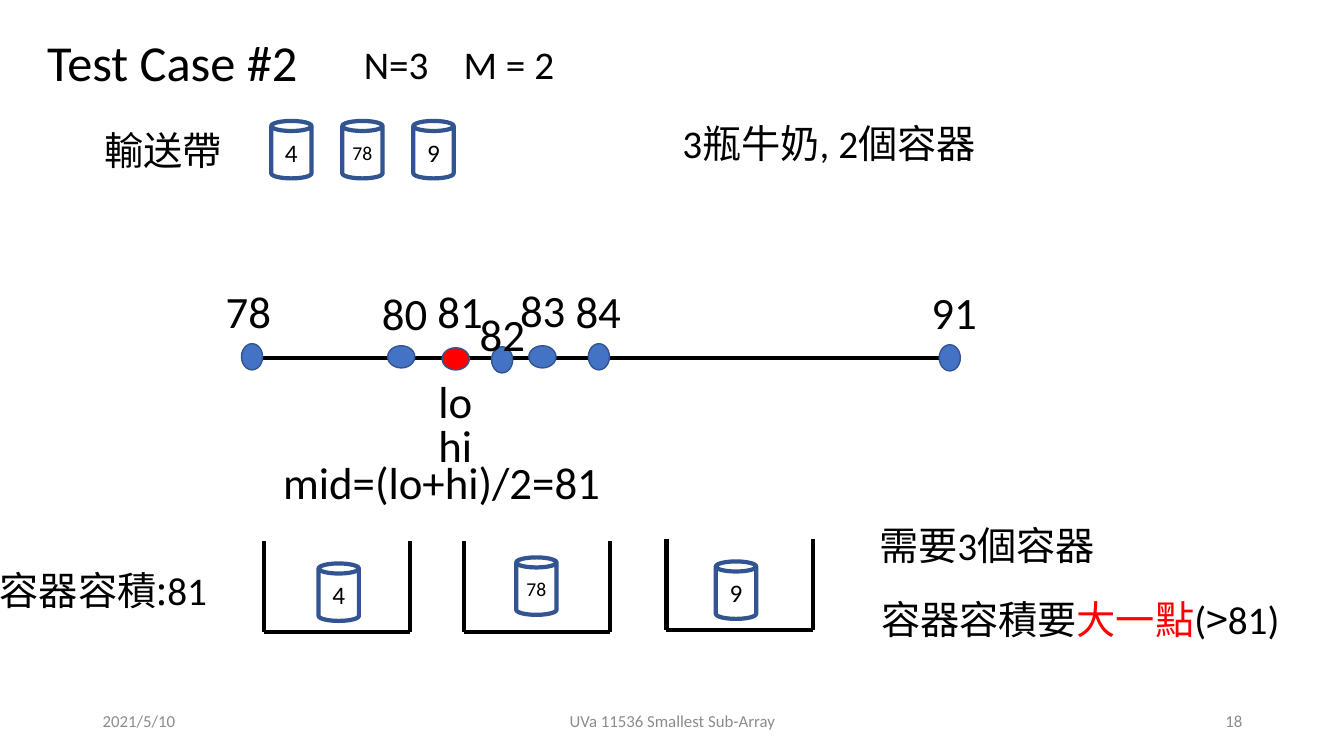
from itertools import groupby
from lxml.etree import SubElement
from pptx import Presentation
from pptx.dml.color import RGBColor
from pptx.enum.shapes import MSO_CONNECTOR, MSO_SHAPE
from pptx.enum.text import MSO_ANCHOR, PP_ALIGN
from pptx.oxml.ns import qn
from pptx.util import Inches, Pt

LATIN, HAN = "Calibri", "Noto Sans CJK SC"
BLACK, BLUE, NAVY, RED, GRAY = "000000", "4472C4", "325491", "FF0000", "8C8C8C"


def color(code):
    """Turn a hex string into a colour."""
    return RGBColor.from_string(code)


def face(char):
    """Choose the font for one character."""
    return HAN if char in ":>" or not char.isascii() else LATIN


def style(font, name, hue):
    """Set the typeface and colour of a font."""
    font.color.rgb = color(hue)
    font.name = name
    if name == HAN:
        SubElement(font._rPr, qn("a:ea"), typeface=name)


def write(para, parts, size, align=PP_ALIGN.LEFT):
    """Fill a paragraph with (text, colour) parts, split by typeface."""
    pieces = [("".join(chars), name, hue) for words, hue in parts
              for name, chars in groupby(words, face)]
    para.alignment = align
    para.font.size = Pt(size)
    for words, name, hue in pieces:
        run = para.add_run()
        run.text = words
        style((para if len(pieces) == 1 else run).font, name, hue)


def label(slide, left, top, width, height, parts, size=28,
          align=PP_ALIGN.LEFT, anchor=MSO_ANCHOR.TOP, tab=None):
    """Place a text box of plain text or coloured parts."""
    frame = slide.shapes.add_textbox(
        Inches(left), Inches(top), Inches(width), Inches(height)).text_frame
    frame.word_wrap = True
    frame.vertical_anchor = anchor
    para = frame.paragraphs[0]
    if tab:
        stops = SubElement(para._p.get_or_add_pPr(), qn("a:tabLst"))
        SubElement(stops, qn("a:tab"), pos=str(Inches(tab)), algn="l")
    write(para, [(parts, BLACK)] if isinstance(parts, str) else parts, size, align)


def stroke(slide, left, top, right, low):
    """Draw a thick black line between two points."""
    line = slide.shapes.add_connector(
        MSO_CONNECTOR.STRAIGHT, Inches(left), Inches(top), Inches(right), Inches(low))
    line.line.color.rgb = color(BLACK)
    line.line.width = Pt(3)
    SubElement(line._element.spPr, qn("a:effectLst"))


def shape(slide, kind, left, top, width, height, fill, weight):
    """Draw a preset shape with a navy outline."""
    item = slide.shapes.add_shape(
        kind, Inches(left), Inches(top), Inches(width), Inches(height))
    item.shadow.inherit = False
    if fill:
        item.fill.solid()
        item.fill.fore_color.rgb = color(fill)
    else:
        item.fill.background()
    item.line.color.rgb = color(NAVY)
    item.line.width = Pt(weight)
    return item


def bottle(slide, left, top, value):
    """Draw a milk bottle holding its volume."""
    can = shape(slide, MSO_SHAPE.CAN, left, top, 0.4, 0.57, None, 3)
    frame = can.text_frame
    frame.vertical_anchor = MSO_ANCHOR.MIDDLE
    write(frame.paragraphs[0], [(value, BLACK)], 18 if len(value) == 1 else 14,
          PP_ALIGN.CENTER)


def header(slide, left, top):
    """Place the title, the input sizes and the conveyor belt."""
    label(slide, left, top, 3.03, 0.71, "Test Case #2", 36)
    label(slide, left + 3.14, top + 0.09, 2.24, 0.57, "N=3\tM = 2", tab=0.99)
    label(slide, left + 0.57, top + 0.94, 1.54, 0.57, "輸送帶")
    for place, value in enumerate(("4", "78", "9")):
        bottle(slide, left + 2.32 + place * 0.705, top + 0.94, value)
    label(slide, left + 6.3, top + 0.87, 3.22, 0.57, "3瓶牛奶, 2個容器")


def axis(slide, left, top, width):
    """Draw the search range with its marks and bounds."""
    stroke(slide, left, top, left + width, top)
    tall, wide = (0.21, 0.26), (0.27, 0.22)
    marks = [
        ("78", 0.02, -0.01, tall, -0.34, -0.78),
        ("80", 1.5, -0.01, wide, 1.21, -0.76),
        ("81", 2.04, 0.01, wide, 1.76, -0.78),
        ("82", 2.5, 0.02, tall, 2.18, -0.56),
        ("83", 2.9, -0.01, wide, 2.58, -0.79),
        ("84", 3.46, -0.01, tall, 3.13, -0.78),
        ("91", 6.94, 0, tall, 6.66, -0.77),
    ]
    for value, mid, drop, (broad, high), across, rise in marks:
        shape(slide, MSO_SHAPE.OVAL, left + mid - broad / 2, top + drop - high / 2,
              broad, high, RED if value == "81" else BLUE, 1)
        label(slide, left + across, top + rise, 0.77, 0.64, value, 32)
    label(slide, left + 1.77, top + 0.11, 0.59, 0.64, "lo", 32)
    label(slide, left + 1.77, top + 0.54, 0.59, 0.64, "hi", 32)
    label(slide, left + 0.23, top + 0.91, 3.62, 0.64, "mid=(lo+hi)/2=81", 32)


def crate(slide, left, top, width=1.45, height=0.9):
    """Draw an open container."""
    right, low = left + width, top + height
    stroke(slide, left, top, left, low)
    stroke(slide, left, low, right, low)
    stroke(slide, right, top, right, low)


def result(slide, left, top):
    """Show the filled containers and the conclusion."""
    label(slide, left - 2.72, top + 0.2, 2.57, 0.57, "容器容積:81")
    crates = [("4", 0, 0, 0.54, 0.22), ("78", 1.98, 0, 0.52, 0.16),
              ("9", 3.99, -0.02, 0.49, 0.22)]
    for value, across, down, inset, drop in crates:
        crate(slide, left + across, top + down)
        bottle(slide, left + across + inset, top + down + drop, value)
    label(slide, left + 6, top - 0.25, 2.57, 0.57, "需要3個容器")
    label(slide, left + 6.02, top + 0.49, 4.69, 0.57,
          [("容器容積要", BLACK), ("大一點", RED), ("(>81)", BLACK)])


def footer(slide, top):
    """Place the date, the topic and the page number."""
    for left, width, words, align in (
            (0.92, 3, "2021/5/10", PP_ALIGN.LEFT),
            (4.42, 4.5, "UVa 11536 Smallest Sub-Array", PP_ALIGN.CENTER),
            (9.42, 3, "18", PP_ALIGN.RIGHT)):
        label(slide, left, top, width, 0.4, [(words, GRAY)], 12, align,
              MSO_ANCHOR.MIDDLE)


def main():
    """Build the slide and save it."""
    deck = Presentation()
    deck.slide_width, deck.slide_height = Inches(13.33), Inches(7.5)
    slide = deck.slides.add_slide(deck.slide_layouts[6])
    footer(slide, 6.95)
    header(slide, 0.37, 0.26)
    axis(slide, 2.48, 3.55, 6.94)
    result(slide, 2.62, 5.37)
    deck.save("out.pptx")


if __name__ == "__main__":
    main()
